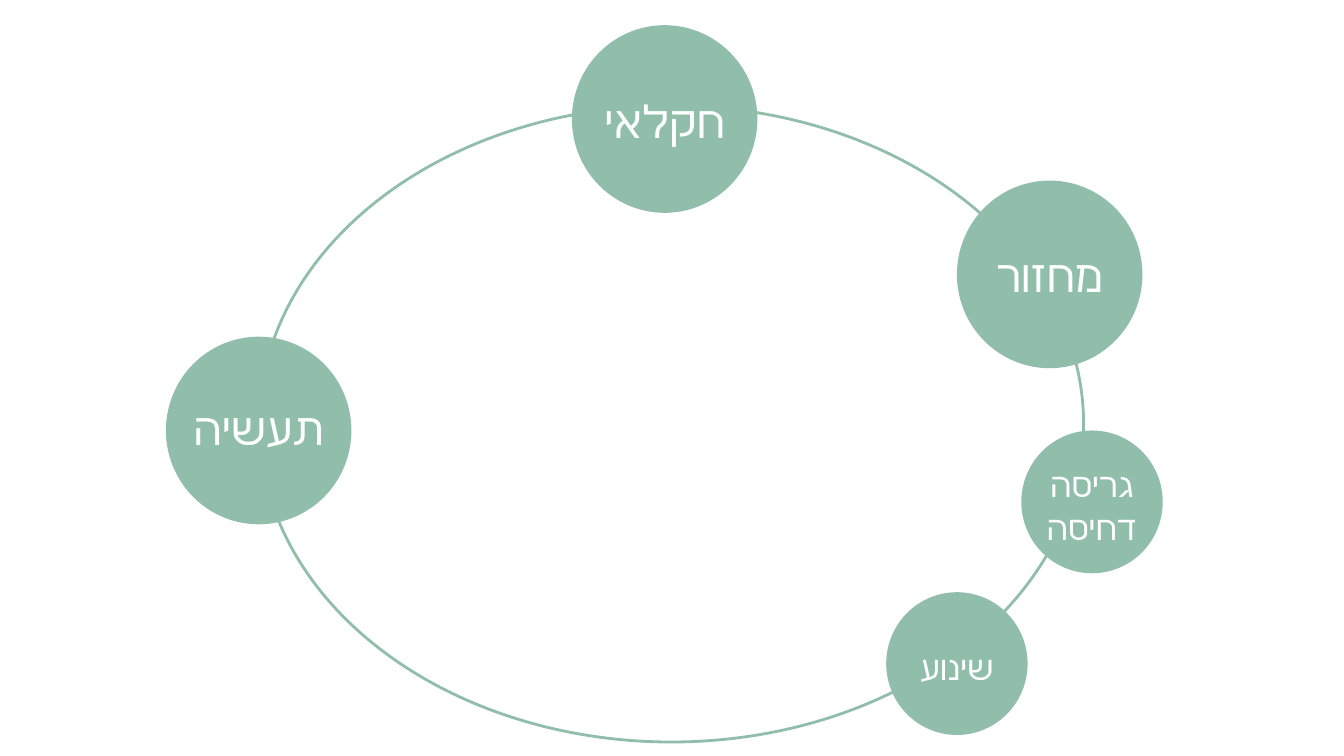
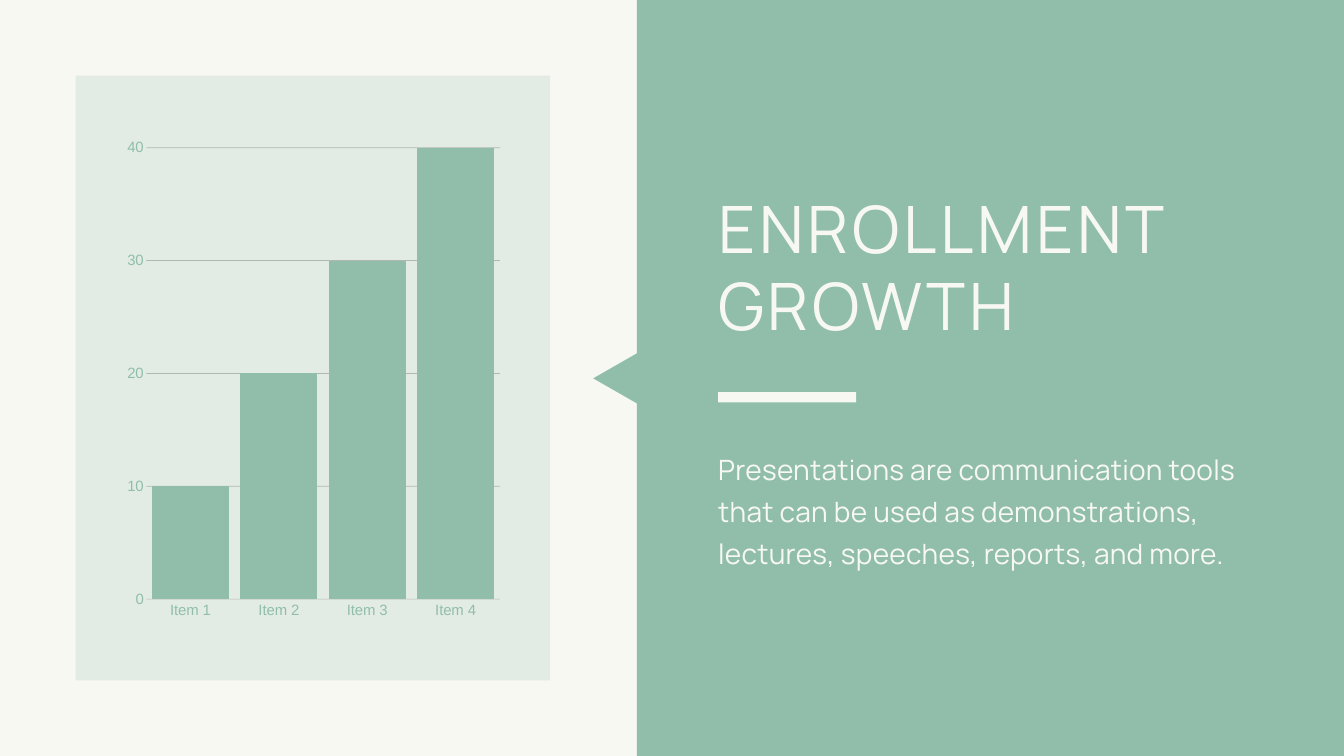
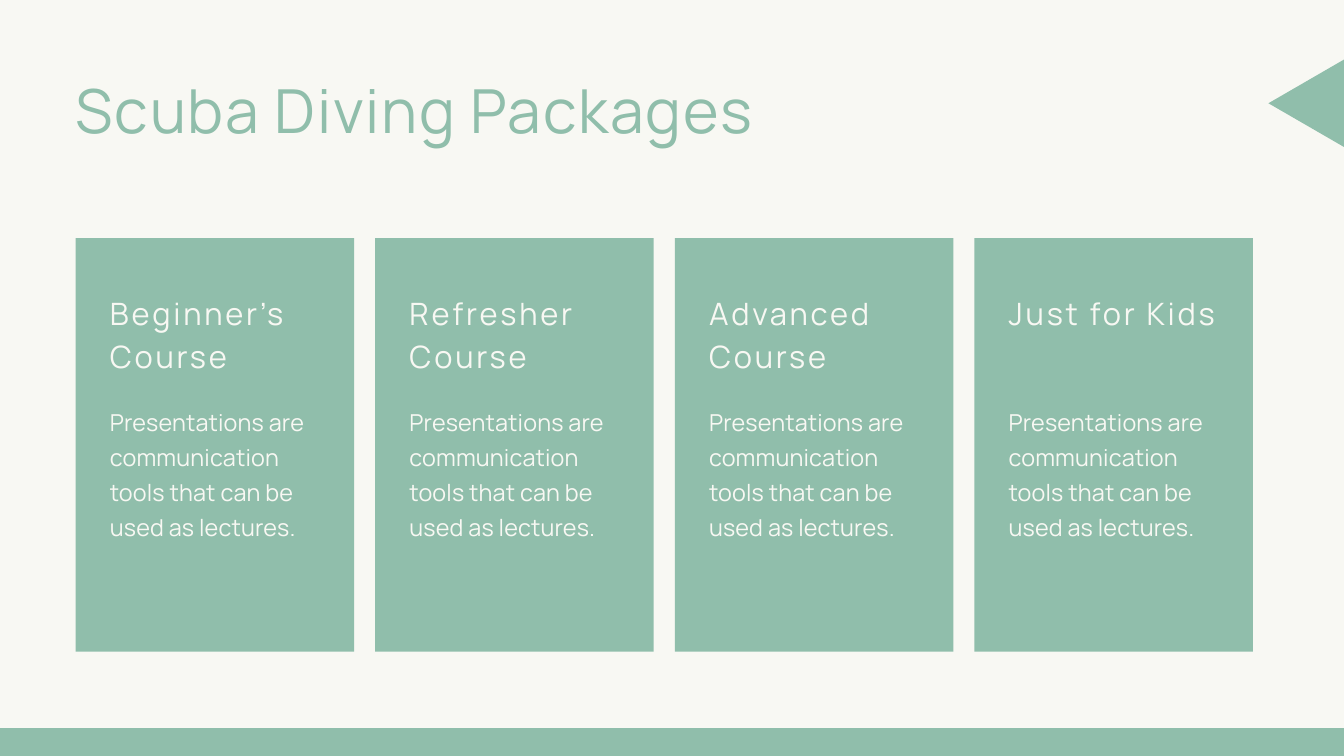
from dataclasses import dataclass
from typing import NamedTuple

from lxml.etree import SubElement
from pptx import Presentation
from pptx.chart.data import CategoryChartData
from pptx.dml.color import RGBColor
from pptx.enum.chart import XL_CHART_TYPE as ChartType, XL_TICK_MARK as TickMark
from pptx.enum.shapes import MSO_SHAPE as Preset
from pptx.enum.text import MSO_ANCHOR as Anchor, MSO_AUTO_SIZE as AutoSize, PP_ALIGN as Align
from pptx.oxml import parse_xml
from pptx.oxml.ns import nsdecls, qn
from pptx.util import Emu, Pt

EMU_PER_PX = 9525
BLANK, TITLE_AND_BODY, TITLE_ONLY = 6, 1, 5


class Box(NamedTuple):
    """A rectangle in px."""
    left: int
    top: int
    width: int
    height: int

    def emu(self) -> tuple[Emu, ...]:
        """Give the four lengths in EMU."""
        return tuple(Emu(length * EMU_PER_PX) for length in self)


class TextStyle(NamedTuple):
    """Type settings, with sizes in points."""
    font: str
    size: int
    color: RGBColor
    leading: float
    tracking: float
    align: Align = Align.LEFT
    rtl: bool = False


SAGE = RGBColor(0x90, 0xBE, 0xAB)
CREAM = RGBColor(0xF8, 0xF8, 0xF3)
WHITE = RGBColor(0xFF, 0xFF, 0xFF)


@dataclass(frozen=True)
class Theme:
    """Colours and type shared by the slides."""
    sage: RGBColor = SAGE
    cream: RGBColor = CREAM
    white: RGBColor = WHITE
    grid: RGBColor = RGBColor(0x22, 0x22, 0x22)
    chart_font: str = "Arial"
    chart_size: int = 16
    big_stage: TextStyle = TextStyle("Calibri", 48, WHITE, 45, 0.3, Align.CENTER, True)
    small_stage: TextStyle = TextStyle("Calibri", 36, WHITE, 45, 0.3, Align.CENTER, True)
    panel_title: TextStyle = TextStyle("Manrope", 70, CREAM, 82.6, 4.1)
    panel_body: TextStyle = TextStyle("Manrope", 30, CREAM, 45, 0.3)
    page_title: TextStyle = TextStyle("Manrope", 65, SAGE, 78, 1.9)
    card_heading: TextStyle = TextStyle("Manrope", 33, CREAM, 46.2, 3)
    card_body: TextStyle = TextStyle("Manrope", 25, CREAM, 37.5, 0.2)


THEME = Theme()


@dataclass(frozen=True)
class Stage:
    """One circle on the cycle, with the top of its label."""
    lines: tuple[str, ...]
    circle: Box
    label_top: int
    style: TextStyle


STAGES = (
    Stage(("חקלאי",), Box(817, 36, 265, 268), 151, THEME.big_stage),
    Stage(("תעשיה",), Box(237, 481, 265, 268), 589, THEME.big_stage),
    Stage(("מחזור",), Box(1367, 258, 265, 268), 371, THEME.big_stage),
    Stage(("גריסה", "דחיסה"), Box(1459, 615, 202, 204), 661, THEME.small_stage),
    Stage(("שינוע",), Box(1266, 846, 202, 204), 922, THEME.small_stage),
)
COURSES = ("Beginner's Course", "Refresher Course", "Advanced Course", "Just for Kids")
COURSE_TEXT = "Presentations are communication tools that can be used as lectures."


def new_slide(deck: Presentation, layout: int, color: RGBColor):
    """Add a slide with a plain background."""
    slide = deck.slides.add_slide(deck.slide_layouts[layout])
    slide.background.fill.solid()
    slide.background.fill.fore_color.rgb = color
    return slide


def add_block(slide, preset: Preset, box: Box, color: RGBColor):
    """Draw a flat filled shape without outline."""
    block = slide.shapes.add_shape(preset, *box.emu())
    block.shadow.inherit = False
    block.fill.solid()
    block.fill.fore_color.rgb = color
    block.line.fill.background()
    return block


def add_pointer(slide, box: Box) -> None:
    """Draw a triangle that points left."""
    add_block(slide, Preset.ISOSCELES_TRIANGLE, box, THEME.sage).rotation = 270


def set_opacity(root, percent: int) -> None:
    """Make every RGB colour below root translucent."""
    for color in root.iter(qn("a:srgbClr")):
        SubElement(color, qn("a:alpha")).set("val", str(percent * 1000))


def write(holder, lines: tuple[str, ...], style: TextStyle) -> None:
    """Fill a text holder with one styled paragraph per line."""
    frame = holder.text_frame
    frame.word_wrap = True
    frame.auto_size = AutoSize.NONE
    frame.vertical_anchor = Anchor.TOP
    frame.margin_left = frame.margin_top = frame.margin_right = frame.margin_bottom = 0
    for index, line in enumerate(lines):
        paragraph = frame.add_paragraph() if index else frame.paragraphs[0]
        properties = paragraph._p.get_or_add_pPr()
        properties.set("marL", "0")
        properties.set("indent", "0")
        SubElement(properties, qn("a:buNone"))
        if style.rtl:
            properties.set("rtl", "1")
        paragraph.alignment = style.align
        paragraph.line_spacing = Pt(style.leading)
        paragraph.space_before = Pt(0)
        run = paragraph.add_run()
        run.text = line
        run.font.size = Pt(style.size)
        run.font.name = style.font
        run.font.color.rgb = style.color
        run_properties = run._r.get_or_add_rPr()
        run_properties.set("spc", str(round(style.tracking * 100)))
        SubElement(run_properties, qn("a:cs")).set("typeface", style.font)


def add_text(slide, box: Box, lines: tuple[str, ...], style: TextStyle) -> None:
    """Add a text box."""
    write(slide.shapes.add_textbox(*box.emu()), lines, style)


def fill_placeholder(slide, index: int, box: Box, text: str, style: TextStyle) -> None:
    """Move a placeholder to the front and into its box, then write in it."""
    holder = slide.placeholders[index]
    holder.left, holder.top, holder.width, holder.height = box.emu()
    holder.element.getparent().append(holder.element)
    write(holder, (text,), style)


def add_growth_chart(slide, box: Box, plot: Box) -> None:
    """Draw the column chart with its plot area at a fixed place."""
    growth = CategoryChartData()
    growth.categories = [f"Item {number}" for number in range(1, 5)]
    growth.add_series("Enrollment", (10, 20, 30, 40))
    chart = slide.shapes.add_chart(ChartType.COLUMN_CLUSTERED, *box.emu(), growth).chart
    chart.has_legend = chart.has_title = False
    chart.font.name = THEME.chart_font
    chart.font.size = Pt(THEME.chart_size)
    chart.font.color.rgb = THEME.sage

    columns = chart.plots[0]
    columns.vary_by_categories = False
    columns.gap_width = 15
    columns.series[0].format.fill.solid()
    columns.series[0].format.fill.fore_color.rgb = THEME.sage

    for axis in (chart.category_axis, chart.value_axis):
        axis.major_tick_mark = axis.minor_tick_mark = TickMark.NONE
        axis.format.line.fill.background()
    values = chart.value_axis
    values.minimum_scale, values.maximum_scale, values.major_unit = 0, 40, 10
    values.major_gridlines.format.line.width = Pt(0.75)
    values.major_gridlines.format.line.color.rgb = THEME.grid
    set_opacity(next(chart.element.iter(qn("c:majorGridlines"))), 25)

    shares = {
        "x": (plot.left - box.left) / box.width,
        "y": (plot.top - box.top) / box.height,
        "w": plot.width / box.width,
        "h": plot.height / box.height,
    }
    plot_area = next(chart.element.iter(qn("c:plotArea")))
    for old_layout in plot_area.findall(qn("c:layout")):
        plot_area.remove(old_layout)
    layout = parse_xml(
        f'<c:layout {nsdecls("c")}><c:manualLayout><c:layoutTarget val="inner"/>'
        '<c:xMode val="edge"/><c:yMode val="edge"/>'
        + "".join(f'<c:{side} val="{share:.4f}"/>' for side, share in shares.items())
        + "</c:manualLayout></c:layout>"
    )
    plot_area.insert(0, layout)
    no_fill = f'<c:spPr {nsdecls("c", "a")}><a:noFill/><a:ln><a:noFill/></a:ln></c:spPr>'
    chart.element.find(qn("c:chart")).addnext(parse_xml(no_fill))


def build_cycle(deck: Presentation) -> None:
    """Build the recycling cycle."""
    slide = new_slide(deck, BLANK, THEME.white)
    ring = add_block(slide, Preset.OVAL, Box(370, 151, 1178, 909), THEME.white)
    ring.line.color.rgb = THEME.sage
    ring.line.width = Pt(3)
    overhang = 58
    for stage in STAGES:
        circle = stage.circle
        add_block(slide, Preset.OVAL, circle, THEME.sage)
        label = Box(circle.left - overhang, stage.label_top,
                    circle.width + 2 * overhang, 60 * len(stage.lines))
        add_text(slide, label, stage.lines, stage.style)


def build_growth(deck: Presentation) -> None:
    """Build the enrollment chart with its side panel."""
    slide = new_slide(deck, TITLE_AND_BODY, THEME.cream)
    chart_card = Box(108, 108, 678, 864)
    backdrop = add_block(slide, Preset.RECTANGLE, chart_card, THEME.sage)
    set_opacity(backdrop.element.spPr, 20)
    add_growth_chart(slide, chart_card, Box(209, 211, 505, 645))
    add_block(slide, Preset.RECTANGLE, Box(910, -36, 1010, 1152), THEME.sage)
    fill_placeholder(slide, 0, Box(1026, 270, 786, 222), "ENROLLMENT GROWTH", THEME.panel_title)
    add_block(slide, Preset.RECTANGLE, Box(1026, 560, 197, 15), THEME.cream)
    fill_placeholder(
        slide, 1, Box(1026, 635, 786, 176),
        "Presentations are communication tools that can be used as demonstrations, "
        "lectures, speeches, reports, and more.",
        THEME.panel_body,
    )
    add_pointer(slide, Box(842, 503, 86, 75))


def build_packages(deck: Presentation) -> None:
    """Build the row of course cards."""
    slide = new_slide(deck, TITLE_ONLY, THEME.cream)
    add_pointer(slide, Box(1792, 20, 295, 255))
    fill_placeholder(slide, 0, Box(108, 104, 1546, 104), "Scuba Diving Packages", THEME.page_title)
    first, gap, padding = Box(108, 340, 398, 591), 30, 49
    for column, course in enumerate(COURSES):
        card = first._replace(left=first.left + column * (first.width + gap))
        add_block(slide, Preset.RECTANGLE, card, THEME.sage)
        heading = Box(card.left + padding, card.top + 72, card.width - 2 * padding, 119)
        add_text(slide, heading, (course,), THEME.card_heading)
        details = heading._replace(top=card.top + 233, height=193)
        add_text(slide, details, (COURSE_TEXT,), THEME.card_body)
    add_block(slide, Preset.RECTANGLE, Box(-12, 1040, 1944, 45), THEME.sage)


def main() -> None:
    """Build and save the deck."""
    deck = Presentation()
    deck.slide_width, deck.slide_height = Box(0, 0, 1920, 1080).emu()[2:]
    build_cycle(deck)
    build_growth(deck)
    build_packages(deck)
    deck.save("out.pptx")


if __name__ == "__main__":
    main()
